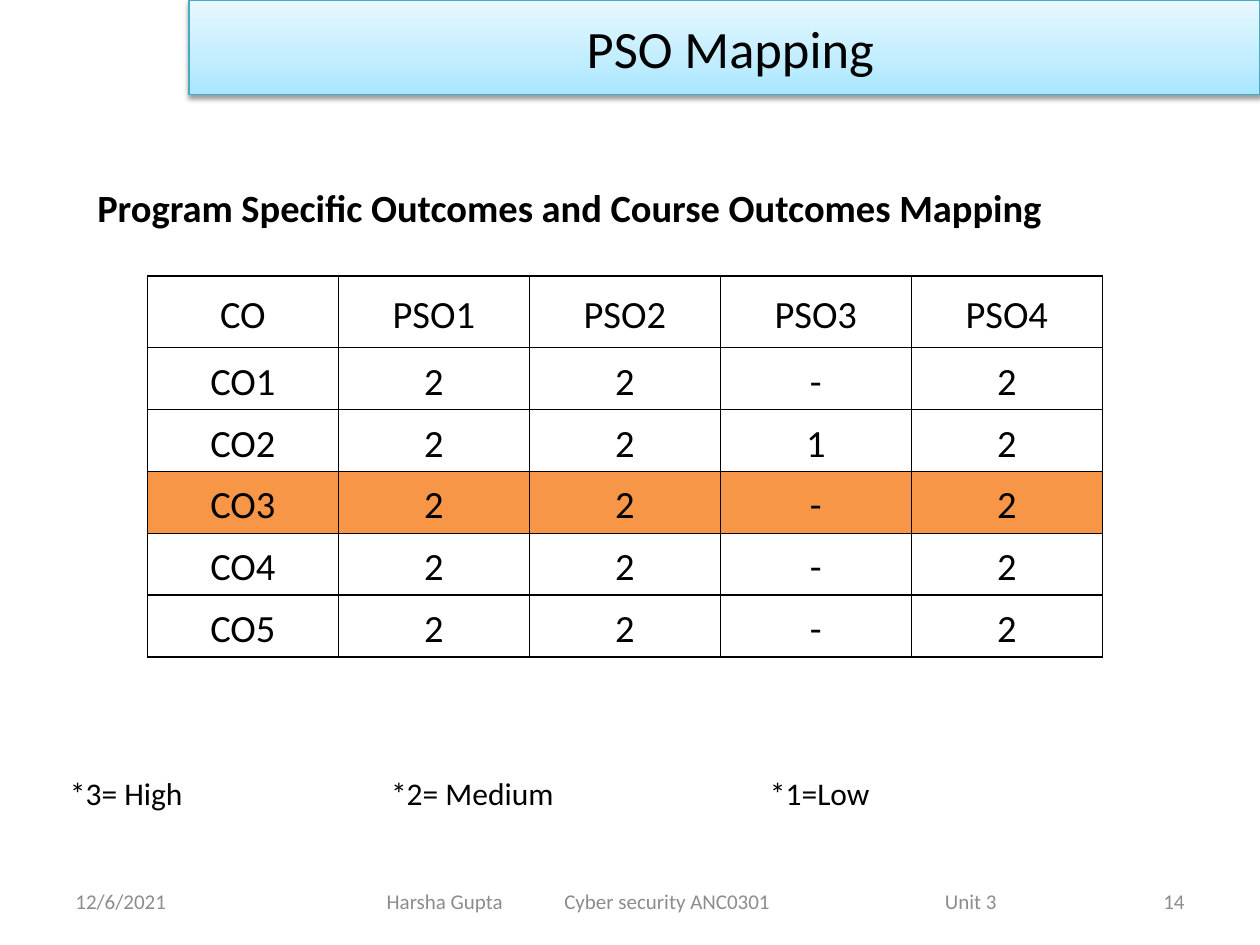
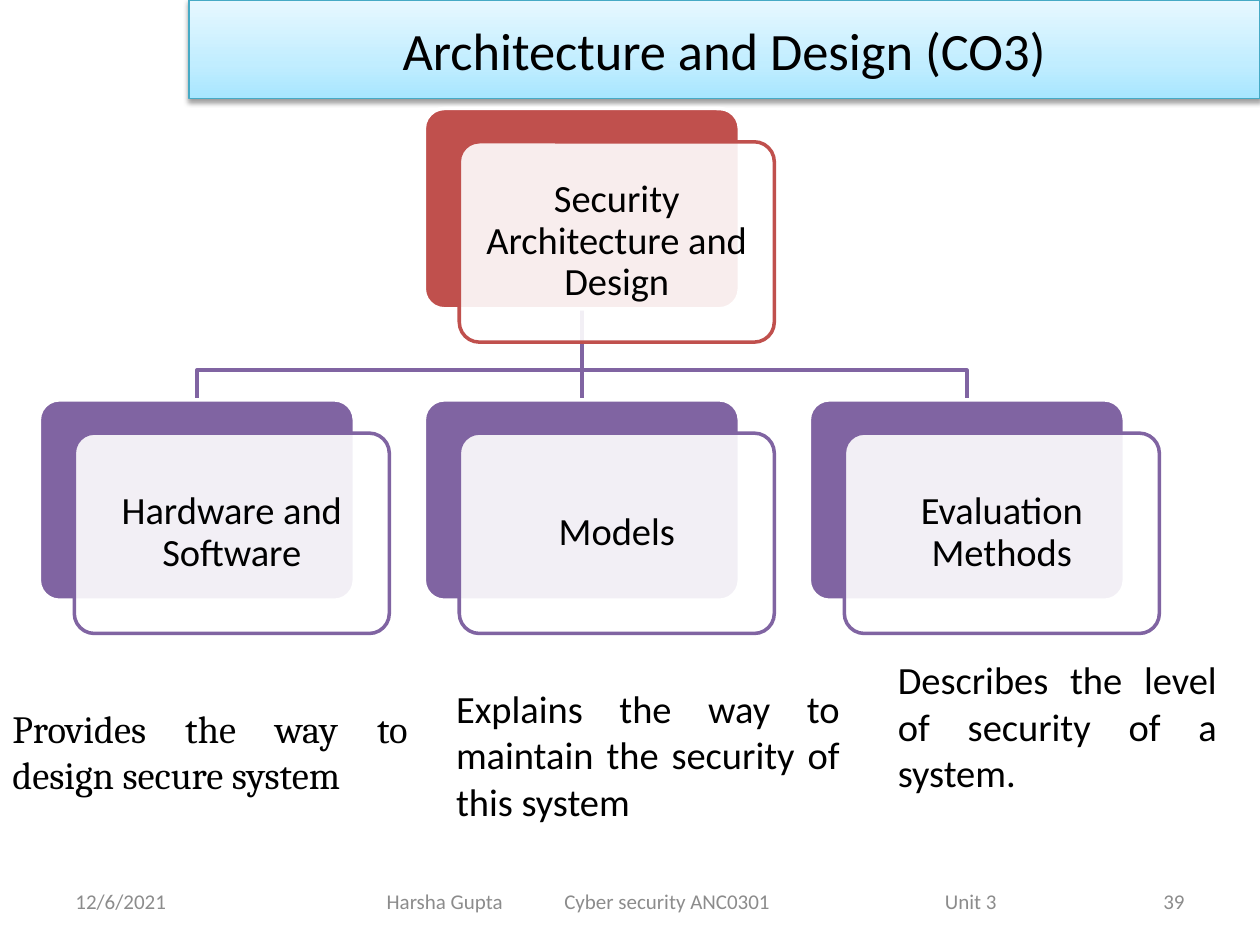
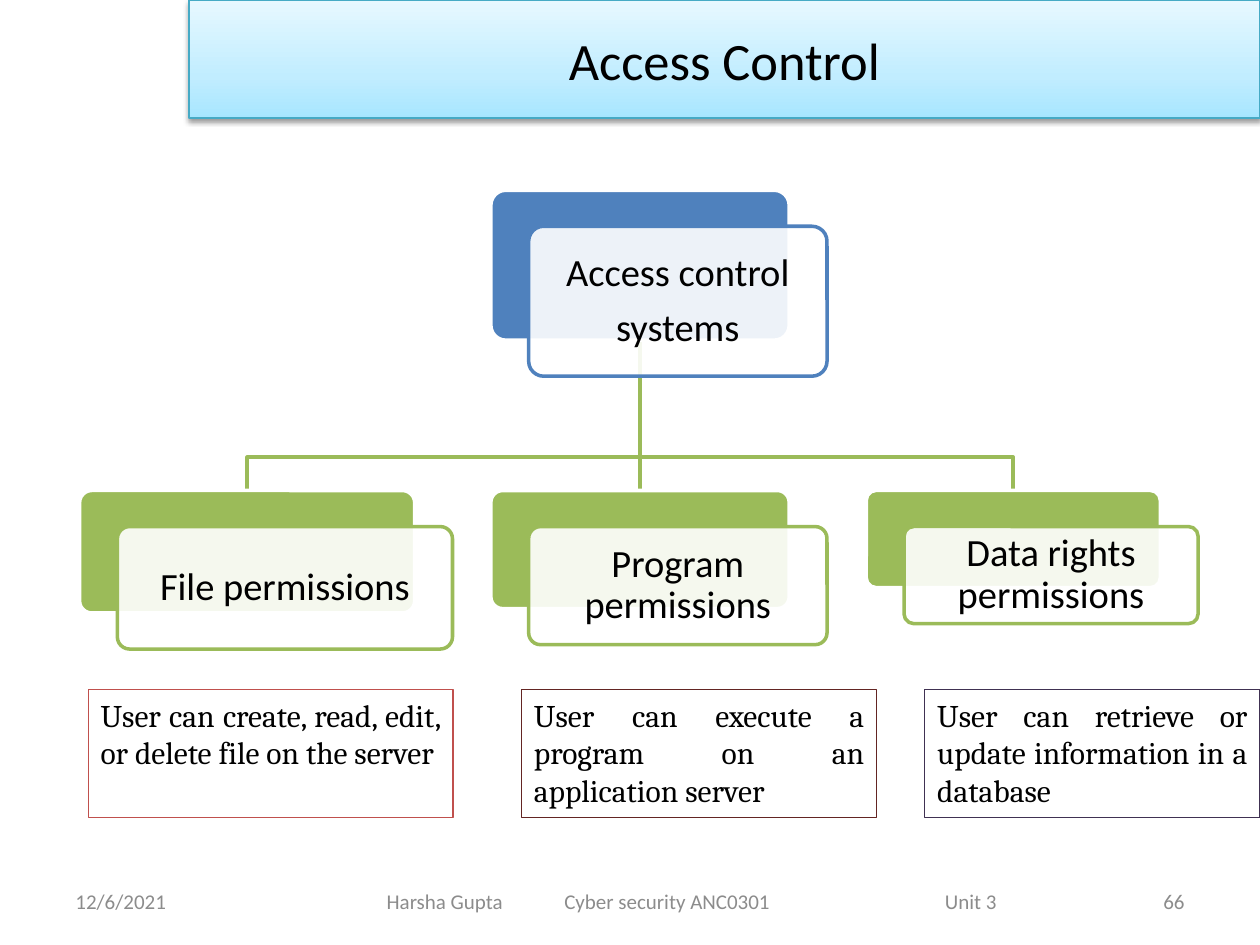
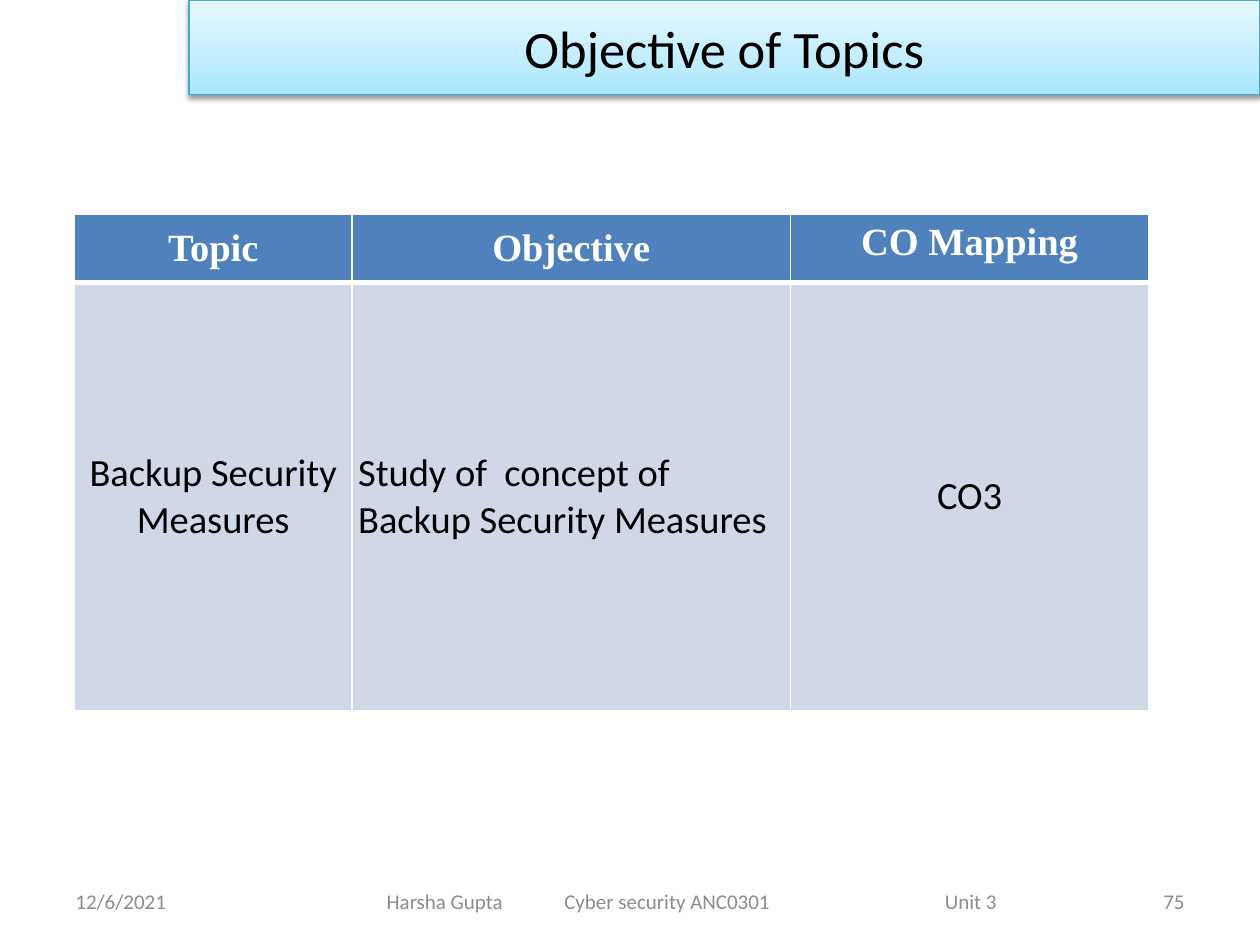
from copy import deepcopy
from dataclasses import dataclass, field, replace
from typing import Any, NamedTuple

from lxml import etree
from pptx import Presentation
from pptx import util as u
from pptx.dml.color import RGBColor
from pptx.enum import shapes, text
from pptx.oxml import ns

Pt = u.Pt
ALIGN = text.PP_ALIGN
ANCHOR = text.MSO_ANCHOR


@dataclass(frozen=True)
class Theme:
    ink: str = "000000"
    paper: str = "FFFFFF"
    footer: str = "8C8C8C"
    band_line: str = "46AAC5"
    band_stops: tuple = ((0, "A7E6FF"), (0.35, "C1EDFF"), (1, "E7F8FF"))
    blue: str = "4F81BD"
    pale_blue: str = "D0D8E8"
    red: str = "C0504D"
    dark_red: str = "632523"
    green: str = "9BBB59"
    purple: str = "8064A2"
    dark_purple: str = "403152"
    orange: str = "F79646"
    sans: str = "Calibri"
    serif: str = "Cambria"
    roman: str = "Times New Roman"
    title_size: int = 30
    body_size: int = 22
    note_size: int = 18
    footer_size: int = 12


THEME = Theme()


class Box(NamedTuple):
    """Left, top, width and height in points."""
    left: float
    top: float
    width: float
    height: float

    @property
    def middle(self) -> float:
        return self.left + self.width / 2

    @property
    def bottom(self) -> float:
        return self.top + self.height

    def emu(self) -> list:
        return [Pt(length) for length in self]


def font(size: int, name: str = THEME.sans, bold: bool = False) -> dict:
    return {"size": Pt(size), "name": name, "bold": bold}


def margins(left: float, top: float, right: float, bottom: float) -> dict:
    sides = zip(("left", "top", "right", "bottom"), (left, top, right, bottom))
    return {f"margin_{side}": Pt(value) for side, value in sides}


@dataclass(frozen=True)
class TextFormat:
    font: dict
    paragraph: dict = field(default_factory=dict)
    frame: dict = field(default_factory=dict)
    color: str = THEME.ink
    tabs: tuple = ()


@dataclass(frozen=True)
class Cell:
    words: str
    style: TextFormat
    fill: str | None = None
    borders: dict = field(default_factory=dict)


@dataclass(frozen=True)
class Card:
    words: str
    box: Box
    color: str


@dataclass(frozen=True)
class Tree:
    parent: Card
    children: list
    bus: float
    shift: tuple


@dataclass(frozen=True)
class Note:
    words: str
    box: Box
    style: TextFormat
    line: str | None = None


MIDDLE = {"vertical_anchor": ANCHOR.MIDDLE}
CENTER = {"alignment": ALIGN.CENTER}
JUSTIFY = {"alignment": ALIGN.JUSTIFY}
BODY = font(THEME.body_size)

TITLE = TextFormat(font(THEME.title_size), CENTER, MIDDLE)
DATE = TextFormat(font(THEME.footer_size), {}, MIDDLE, THEME.footer)
NUMBER = replace(DATE, paragraph={"alignment": ALIGN.RIGHT})
COURSE = replace(DATE, frame=MIDDLE | {"margin_left": Pt(23)}, tabs=(101.5, 319))
HEADING = TextFormat(font(THEME.body_size, bold=True), {},
                     MIDDLE | margins(21.6, 3.6, 7.2, 0))
LEGEND = TextFormat(font(THEME.note_size), {},
                    MIDDLE | {"margin_left": Pt(40)}, tabs=(183.5, 400))
CARD = TextFormat(BODY, CENTER | {"line_spacing": 0.9, "space_after": Pt(7.7)},
                  MIDDLE | margins(6.5, 6.5, 6.5, 6.5))
CAPTION = TextFormat(BODY, JUSTIFY)
SERIF_CAPTION = replace(CAPTION, font=font(THEME.body_size, THEME.serif))
NOTE = replace(CAPTION, font=font(THEME.note_size, THEME.serif),
               frame={"vertical_anchor": ANCHOR.TOP})
MAPPING = TextFormat(BODY, CENTER | {"line_spacing": 1.15}, MIDDLE | margins(5, 0, 5, 0))
TIGHT = TextFormat(BODY, CENTER, MIDDLE | margins(0, 0, 0, 0))
OBJECTIVE = TextFormat(BODY, {}, MIDDLE | margins(3.6, 0, 0, 0))
ROOMY = TextFormat(BODY, CENTER, MIDDLE)
HEADER = replace(TIGHT, font=font(THEME.body_size, THEME.roman, True), color=THEME.paper)
HEADER_TOP = replace(HEADER, frame={"vertical_anchor": ANCHOR.TOP})


def apply(target: Any, values: dict) -> None:
    for name, value in values.items():
        setattr(target, name, value)


def add_xml(parent: Any, tag: str, **attributes: Any) -> Any:
    values = {name: str(value) for name, value in attributes.items()}
    return etree.SubElement(parent, ns.qn(tag), values)


def write(frame: Any, words: str, style: TextFormat, holder: Any = None) -> None:
    """Fill a text frame; a cell is its own holder of margins and anchor."""
    frame.word_wrap = True
    apply(frame if holder is None else holder, style.frame)
    for index, line in enumerate(words.split("\n")):
        paragraph = frame.add_paragraph() if index else frame.paragraphs[0]
        apply(paragraph, style.paragraph)
        if style.tabs:
            stops = add_xml(paragraph._p.get_or_add_pPr(), "a:tabLst")
            for stop in style.tabs:
                add_xml(stops, "a:tab", pos=int(Pt(stop)), algn="l")
        run = paragraph.add_run()
        run.text = line
        apply(run.font, style.font)
        run.font.color.rgb = RGBColor.from_string(style.color)


def add_text(slide: Any, box: Box, words: str, style: TextFormat) -> None:
    write(slide.shapes.add_textbox(*box.emu()).text_frame, words, style)


def paint(shape: Any, fill: str | None, line: str, width: float) -> None:
    shape.shadow.inherit = False
    if fill:
        shape.fill.solid()
        shape.fill.fore_color.rgb = RGBColor.from_string(fill)
    else:
        shape.fill.background()
    shape.line.color.rgb = RGBColor.from_string(line)
    shape.line.width = Pt(width)


def add_band(slide: Any, title: str, height: float) -> None:
    band = slide.shapes.add_shape(shapes.MSO_SHAPE.RECTANGLE,
                                  *Box(108, 0, 612, height).emu())
    paint(band, None, THEME.band_line, 0.75)
    band.fill.gradient()
    band.fill.gradient_angle = 90
    stop_list = band._element.spPr.find(ns.qn("a:gradFill")).find(ns.qn("a:gsLst"))
    stop_list.append(deepcopy(stop_list[0]))
    for stop, (position, color) in zip(band.fill.gradient_stops, THEME.band_stops):
        stop.color.rgb = RGBColor.from_string(color)
        stop.position = position
    effects = band._element.spPr.find(ns.qn("a:effectLst"))
    shadow = add_xml(effects, "a:outerShdw", blurRad=int(Pt(3.1)), dist=int(Pt(1.6)),
                     dir=5400000, rotWithShape=0)
    add_xml(add_xml(shadow, "a:srgbClr", val=THEME.ink), "a:alpha", val=38000)
    write(band.text_frame, title, TITLE)


def start_slide(deck: Any, title: str, number: int, band_height: float = 54) -> Any:
    """Add a blank slide with the title band and the footer."""
    slide = deck.slides.add_slide(deck.slide_layouts[6])
    add_band(slide, title, band_height)
    footer = [(36, 168, "12/6/2021", DATE),
              (198, 396, "Harsha Gupta\tCyber security ANC0301\tUnit 3", COURSE),
              (516, 168, str(number), NUMBER)]
    for left, width, words, style in footer:
        add_text(slide, Box(left, 500.5, width, 28.75), words, style)
    return slide


def add_borders(cell: Any, borders: dict) -> None:
    properties = cell._tc.get_or_add_tcPr()
    for side, (color, width) in borders.items():
        line = add_xml(properties, f"a:ln{side}", w=int(Pt(width)))
        add_xml(add_xml(line, "a:solidFill"), "a:srgbClr", val=color)


def add_grid(slide: Any, left: float, top: float, widths: list, heights: list,
             rows: list) -> None:
    box = Box(left, top, sum(widths), sum(heights))
    table = slide.shapes.add_table(len(heights), len(widths), *box.emu()).table
    apply(table, {"first_row": False, "horz_banding": False})
    for column, width in zip(table.columns, widths):
        column.width = Pt(width)
    for row, height, contents in zip(table.rows, heights, rows):
        row.height = Pt(height)
        for cell, content in zip(row.cells, contents):
            write(cell.text_frame, content.words, content.style, cell)
            add_borders(cell, content.borders)
            if content.fill:
                cell.fill.solid()
                cell.fill.fore_color.rgb = RGBColor.from_string(content.fill)
            else:
                cell.fill.background()


def add_rounded(slide: Any, box: Box, fill: str, line: str) -> Any:
    shape = slide.shapes.add_shape(shapes.MSO_SHAPE.ROUNDED_RECTANGLE, *box.emu())
    shape.adjustments[0] = 0.1
    paint(shape, fill, line, 2)
    return shape


def add_card(slide: Any, card: Card, shift: tuple) -> Any:
    """Draw a card with its shifted translucent label and return the backing."""
    backing = add_rounded(slide, card.box, card.color, THEME.paper)
    label_box = card.box._replace(left=card.box.left + shift[0], top=card.box.top + shift[1])
    label = add_rounded(slide, label_box, THEME.paper, card.color)
    tint = label._element.spPr.find(ns.qn("a:solidFill"))[0]
    add_xml(tint, "a:alpha", val=90000)
    write(label.text_frame, card.words, CARD)
    return backing


def add_elbow(slide: Any, start: Box, end: Box, bus: float, color: str) -> None:
    points = [(start.middle, start.bottom), (start.middle, bus),
              (end.middle, bus), (end.middle, end.top)]
    first, *others = [(Pt(x), Pt(y)) for x, y in points]
    builder = slide.shapes.build_freeform(*first)
    builder.add_line_segments(others, close=False)
    paint(builder.convert_to_shape(), None, color, 2)


def add_straight(slide: Any, start: Box, end: Box, color: str) -> Any:
    link = slide.shapes.add_connector(
        shapes.MSO_CONNECTOR.STRAIGHT, Pt(start.middle), Pt(start.bottom),
        Pt(end.middle), Pt(end.top))
    link.line.color.rgb = RGBColor.from_string(color)
    link.line.width = Pt(2)
    add_xml(link._element.spPr, "a:effectLst")
    return link


def add_tree(slide: Any, tree: Tree) -> None:
    """Draw the links behind the cards, then join the straight ones."""
    parent = tree.parent.box
    straight = {}
    for index, child in enumerate(tree.children):
        if child.box.middle == parent.middle:
            straight[index] = add_straight(slide, parent, child.box, child.color)
        else:
            add_elbow(slide, parent, child.box, tree.bus, child.color)
    root = add_card(slide, tree.parent, tree.shift)
    backings = [add_card(slide, child, tree.shift) for child in tree.children]
    for index, link in straight.items():
        link.begin_connect(root, 2)
        link.end_connect(backings[index], 0)


def add_note(slide: Any, note: Note) -> None:
    if note.line is None:
        add_text(slide, note.box, note.words, note.style)
        return
    frame = slide.shapes.add_shape(shapes.MSO_SHAPE.RECTANGLE, *note.box.emu())
    paint(frame, None, note.line, 0.75)
    write(frame.text_frame, note.words, note.style)


def build_pso_mapping(deck: Any) -> None:
    slide = start_slide(deck, " PSO Mapping", 14)
    add_text(slide, Box(0, 438.5, 703.5, 28.75), "*3= High\t*2= Medium\t*1=Low", LEGEND)
    add_text(slide, Box(34, 101.5, 613.5, 30.5),
             "Program Specific Outcomes and Course Outcomes Mapping", HEADING)
    outcomes = ["CO PSO1 PSO2 PSO3 PSO4", "CO1 2 2 - 2", "CO2 2 2 1 2",
                "CO3 2 2 - 2", "CO4 2 2 - 2", "CO5 2 2 - 2"]
    fills = {1: THEME.paper, 3: THEME.orange}
    borders = dict.fromkeys("LRTB", (THEME.ink, 1))
    rows = [[Cell(words, MAPPING, fills.get(index), borders) for words in line.split()]
            for index, line in enumerate(outcomes)]
    add_grid(slide, 84.2, 157.6, [109.15] * 5, [41] + [35.4] * 5, rows)


def build_architecture(deck: Any) -> None:
    slide = start_slide(deck, "Architecture and Design (CO3)", 39, 56.2)
    width, height, left, pitch = 180, 114.5, 22.5, 220
    topics = ["Hardware and Software", "Models", "Evaluation Methods"]
    children = [Card(topic, Box(left + pitch * index, 228.5, width, height), THEME.purple)
                for index, topic in enumerate(topics)]
    root = Card("Security Architecture and Design",
                Box(left + pitch, 62, width, height), THEME.red)
    add_tree(slide, Tree(root, children, bus=211.5, shift=(20, 19)))
    captions = [
        Note("Provides the way to design secure system",
             Box(0, 399.5, 240, 60.5), SERIF_CAPTION),
        Note("Explains the way to maintain the security of this system",
             Box(253.5, 388, 233.5, 87), CAPTION),
        Note("Describes the level of security of a system.",
             Box(506, 371.5, 196.5, 87), CAPTION),
    ]
    for caption in captions:
        add_note(slide, caption)


def build_access_control(deck: Any) -> None:
    slide = start_slide(deck, "Access Control", 66, 67.5)
    top = 280.3
    children = [
        Card("File permissions", Box(45.5, top, 191.5, 70), THEME.green),
        Card("Program permissions", Box(280.5, top, 170.5, 67.5), THEME.green),
        Card("Data rights permissions", Box(495, top, 168, 55.5), THEME.green),
    ]
    root = Card("Access control\nsystems", Box(280.5, 108.7, 170.5, 85.7), THEME.blue)
    add_tree(slide, Tree(root, children, bus=261.3, shift=(21.6, 20.6)))
    rights = [
        ("User can create, read, edit, or delete file on the server", 50.4, 208.5, THEME.red),
        ("User can execute a program on an application server", 298, 203, THEME.dark_red),
        ("User can retrieve or update information in a database", 528.5, 191.5,
         THEME.dark_purple),
    ]
    for words, left, width, line in rights:
        add_note(slide, Note(words, Box(left, 394, width, 73), NOTE, line))


def build_objectives(deck: Any) -> None:
    slide = start_slide(deck, "Objective of Topics", 75)
    thin = dict.fromkeys("LRTB", (THEME.paper, 1))
    thick_base = thin | {"B": (THEME.paper, 3)}
    header = [("Topic", HEADER), ("Objective", HEADER), ("CO Mapping", HEADER_TOP)]
    body = [("Backup Security Measures", TIGHT),
            ("Study of  concept of Backup Security Measures", OBJECTIVE),
            ("CO3", ROOMY)]
    rows = [[Cell(words, style, fill, borders) for words, style in line]
            for line, fill, borders in ((header, THEME.blue, thick_base),
                                        (body, THEME.pale_blue, thin))]
    add_grid(slide, 42.6, 122.6, [158.5, 250.7, 204.5], [38.7, 245], rows)


def main() -> None:
    deck = Presentation()
    deck.slide_width, deck.slide_height = Pt(720), Pt(540)
    for build in (build_pso_mapping, build_architecture, build_access_control,
                  build_objectives):
        build(deck)
    deck.save("out.pptx")


if __name__ == "__main__":
    main()
